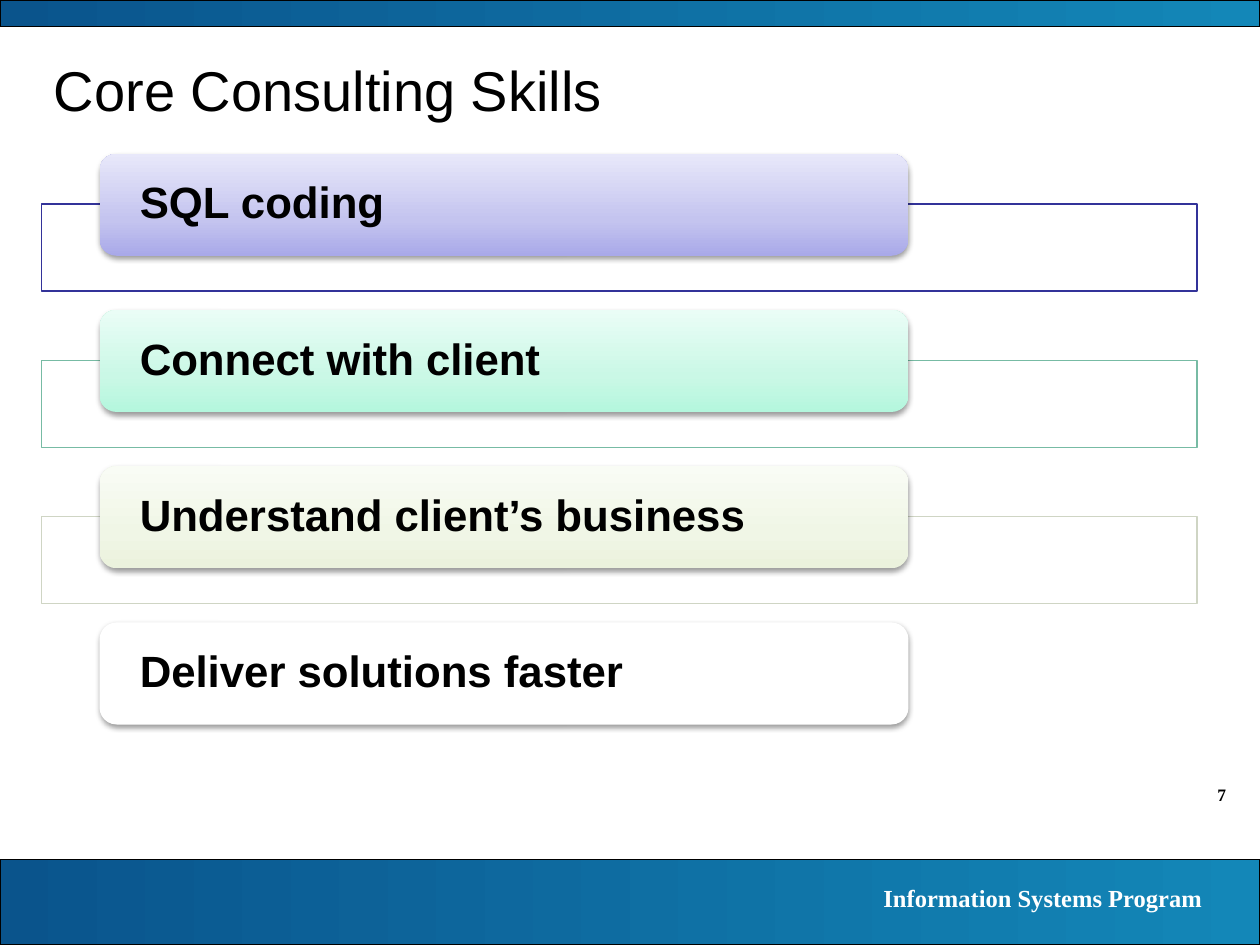
from lxml import etree
from pptx import Presentation
from pptx.dml.color import RGBColor
from pptx.enum.shapes import MSO_SHAPE
from pptx.enum.text import MSO_ANCHOR, PP_ALIGN
from pptx.oxml.ns import qn
from pptx.util import Inches, Pt

RECT, ROUNDED = MSO_SHAPE.RECTANGLE, MSO_SHAPE.ROUNDED_RECTANGLE
LEFT, RIGHT = PP_ALIGN.LEFT, PP_ALIGN.RIGHT
TOP, MIDDLE = MSO_ANCHOR.TOP, MSO_ANCHOR.MIDDLE

SLIDE_W, SLIDE_H = 10, 7.5
MARGIN, CONTENT_W = 0.33, 9.17
FIRST_ROW, ROW_STEP = 1.22, 1.24
BAND_STOPS = [(0, "0A548C"), (100, "1387B8")]

# Label, frame colour, pill gradient from bottom to top
SKILLS = [
    ("SQL coding", "333399", ("A9A9E9", "C4C4EF", "E8E8FA")),
    ("Connect with client", "77BBA4", ("B4F7DD", "CAF8E6", "EAFDF6")),
    ("Understand client’s business", "CFD5C4", ("EBF2DD", "F0F6E6", "F9FCF5")),
    ("Deliver solutions faster", "FFFFFF", None),
]


def color(hex_code):
    return RGBColor.from_string(hex_code)


def add_box(slide, kind, x, y, w, h, fill="FFFFFF", line=None):
    sp = slide.shapes.add_shape(kind, Inches(x), Inches(y), Inches(w), Inches(h))
    sp.shadow.inherit = False
    sp.fill.solid()
    sp.fill.fore_color.rgb = color(fill)
    if line:
        sp.line.color.rgb = color(line)
        sp.line.width = Pt(0.75)
    else:
        sp.line.fill.background()
    return sp


def set_gradient(sp, stops, angle):
    sp.fill.gradient()
    grad = sp._element.spPr.find(qn("a:gradFill"))
    stop_list = grad.find(qn("a:gsLst"))
    for old in list(stop_list):
        stop_list.remove(old)
    for position, hex_code in stops:
        gs = etree.SubElement(stop_list, qn("a:gs"), pos=str(position * 1000))
        etree.SubElement(gs, qn("a:srgbClr"), val=hex_code)
    grad.find(qn("a:lin")).set("ang", str(angle * 60000))


def set_alpha(clr, percent):
    etree.SubElement(clr, qn("a:alpha"), val=str(percent * 1000))


def add_shadow(sp):
    effects = sp._element.spPr.find(qn("a:effectLst"))
    shadow = etree.SubElement(effects, qn("a:outerShdw"), blurRad=str(Pt(3.1)),
                              dist=str(Pt(1.6)), dir="5400000", rotWithShape="0")
    set_alpha(etree.SubElement(shadow, qn("a:srgbClr"), val="000000"), 38)


def set_text(sp, text, size, font, fill="000000", bold=False, align=LEFT, anchor=TOP):
    tf = sp.text_frame
    tf.word_wrap = True
    tf.vertical_anchor = anchor
    tf.text = text
    p = tf.paragraphs[0]
    p.alignment = align
    f = p.runs[0].font
    f.size, f.name, f.bold = Pt(size), font, bold
    f.color.rgb = color(fill)
    return p


def add_text(slide, x, y, w, h, *args, **style):
    sp = slide.shapes.add_textbox(Inches(x), Inches(y), Inches(w), Inches(h))
    return set_text(sp, *args, **style)


def add_band(slide, y, h):
    sp = add_box(slide, RECT, 0, y, SLIDE_W, h, line="000000")
    set_gradient(sp, BAND_STOPS, 0)


def add_skill(slide, y, label, line, shades):
    # Frame behind the pill
    frame = add_box(slide, RECT, MARGIN, y + 0.4, CONTENT_W, 0.69, line=line)
    set_alpha(frame._element.spPr.find(qn("a:solidFill"))[0], 90)

    # Pill with its label
    pill = add_box(slide, ROUNDED, 0.79, y, 6.42, 0.81)
    if shades:
        set_gradient(pill, zip((0, 35, 100), shades), 270)
    add_shadow(pill)
    p = set_text(pill, label, 25, "Arial", bold=True, anchor=MIDDLE)
    p.line_spacing = 0.9
    tf = pill.text_frame
    tf.margin_left = tf.margin_right = Inches(0.28)
    tf.margin_top = tf.margin_bottom = 0


def main():
    prs = Presentation()
    prs.slide_width, prs.slide_height = Inches(SLIDE_W), Inches(SLIDE_H)
    slide = prs.slides.add_slide(prs.slide_layouts[6])

    # Page number, bands and footer
    add_text(slide, 9, 6.17, 0.83, 0.27, "7", 10, "Times New Roman",
             bold=True, align=RIGHT)
    add_band(slide, 6.82, SLIDE_H - 6.82)
    add_band(slide, 0, 0.21)
    add_text(slide, 5.55, 6.96, 4.09, 0.34, "Information Systems Program", 14,
             "Times New Roman", fill="FFFFFF", bold=True, align=RIGHT)

    # Title
    add_text(slide, MARGIN, 0.33, CONTENT_W, 0.75, "Core Consulting Skills", 32,
             "Arial", anchor=MIDDLE)

    # Skill rows
    for row, skill in enumerate(SKILLS):
        add_skill(slide, FIRST_ROW + row * ROW_STEP, *skill)

    prs.save("out.pptx")


if __name__ == "__main__":
    main()
